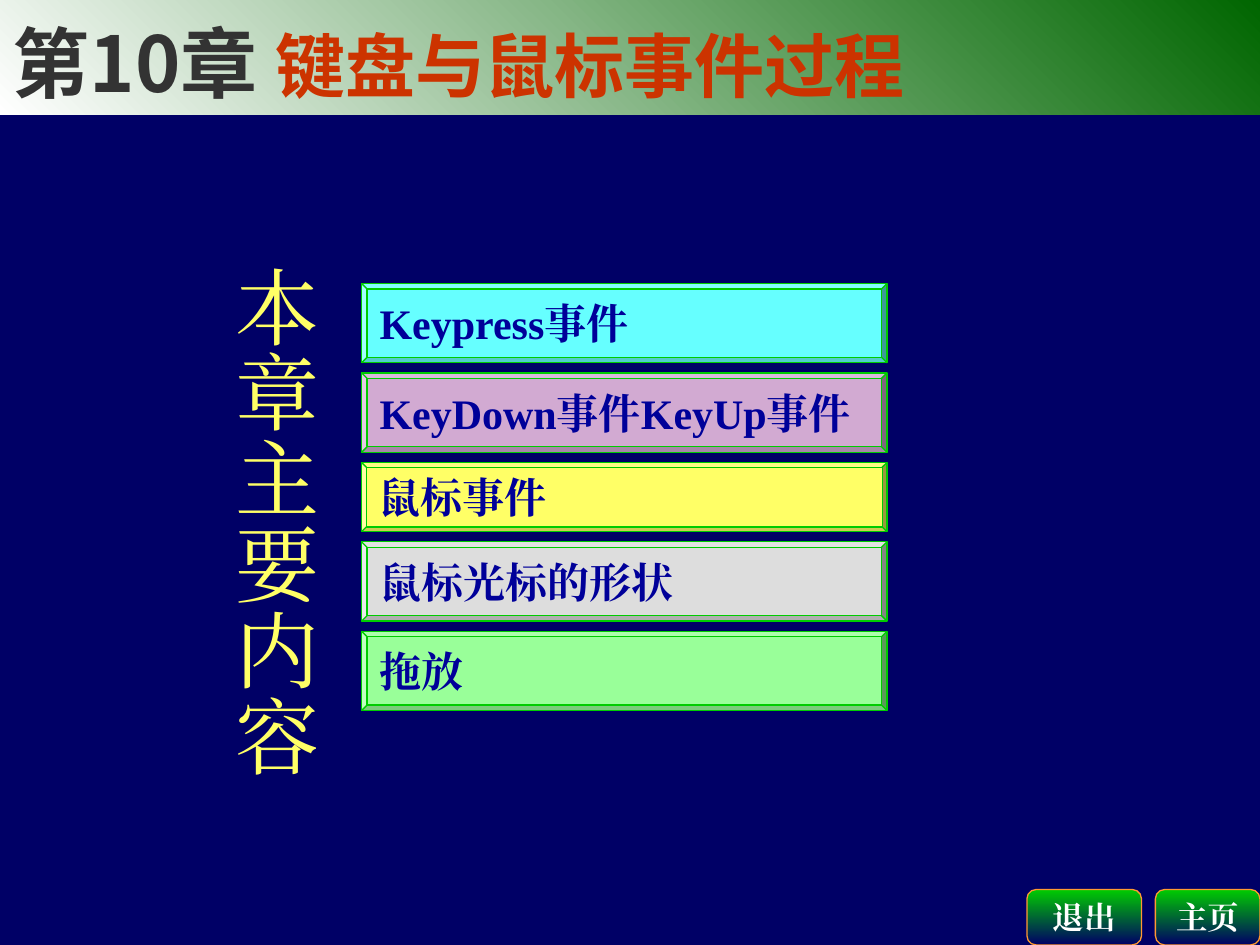
from dataclasses import dataclass

from lxml import etree
from pptx import Presentation
from pptx.dml.color import RGBColor
from pptx.enum.shapes import MSO_SHAPE
from pptx.enum.text import MSO_ANCHOR, MSO_AUTO_SIZE, PP_ALIGN
from pptx.oxml.ns import qn
from pptx.util import Inches, Pt


@dataclass(frozen=True)
class Theme:
    background: str = "000066"
    white: str = "FFFFFF"
    banner_end: str = "006600"
    chapter: str = "333333"
    chapter_name: str = "CC3300"
    heading: str = "FFFF66"
    topic: str = "000099"
    bevel_line: str = "00CC00"
    button_top: str = "00CC00"
    button_line: str = "FF9933"
    body_font: str = "Times New Roman"
    chapter_font: str = "Noto Sans CJK JP"
    name_font: str = "Noto Sans CJK SC"
    chapter_size: int = 44
    name_size: int = 40
    heading_size: int = 48
    topic_size: int = 24
    button_size: int = 18


THEME = Theme()

# Text, colour, height in inches
TOPICS = [
    ("Keypress事件", "66FFFF", 0.63),
    ("KeyDown事件KeyUp事件", "D2AAD2", 0.63),
    ("鼠标事件", "FFFF66", 0.55),
    ("鼠标光标的形状", "DDDDDD", 0.63),
    ("拖放", "99FF99", 0.63),
]
TOPIC_GAP = 0.08


def rgb(value):
    return RGBColor.from_string(value)


def style_font(font, size, color, name, bold=True):
    """Set the look of a font, for Latin and East Asian letters alike."""
    font.size = Pt(size)
    font.bold = bold
    font.color.rgb = rgb(color)
    font.name = name
    latin = font._element.find(qn("a:latin"))
    east_asian = etree.Element(qn("a:ea"), typeface=name)
    latin.addnext(east_asian)


def fill_gradient(shape, start, end, angle):
    """Fill with two colours; the angle runs counter-clockwise."""
    shape.fill.gradient()
    shape.fill.gradient_angle = angle
    for stop, color in zip(shape.fill.gradient_stops, (start, end)):
        stop.color.rgb = rgb(color)


def add_label_shape(slide, kind, box, text, size, color, line, align):
    shape = slide.shapes.add_shape(kind, *map(Inches, box))
    shape.shadow.inherit = False
    shape.line.color.rgb = rgb(line)
    shape.line.width = Pt(0.75)
    frame = shape.text_frame
    frame.word_wrap = False
    frame.vertical_anchor = MSO_ANCHOR.MIDDLE
    label = frame.paragraphs[0]
    label.text = text
    label.alignment = align
    style_font(label.runs[0].font, size, color, THEME.body_font)
    return shape


def place_title(slide, box):
    title = slide.shapes.title
    title.left, title.top, title.width, title.height = map(Inches, box)
    fill_gradient(title, THEME.white, THEME.banner_end, 45)
    frame = title.text_frame
    frame.auto_size = MSO_AUTO_SIZE.NONE
    frame.vertical_anchor = MSO_ANCHOR.BOTTOM
    heading = frame.paragraphs[0]
    heading.alignment = PP_ALIGN.LEFT
    for text, size, color, font_name in (
        ("第10章 ", THEME.chapter_size, THEME.chapter, THEME.chapter_font),
        ("键盘与鼠标事件过程", THEME.name_size, THEME.chapter_name, THEME.name_font),
    ):
        run = heading.add_run()
        run.text = text
        style_font(run.font, size, color, font_name)


def add_side_heading(slide, box, text):
    """Stack the heading one character to a line."""
    frame = slide.shapes.add_textbox(*map(Inches, box)).text_frame
    frame.word_wrap = True
    for index, character in enumerate(text):
        line = frame.add_paragraph() if index else frame.paragraphs[0]
        line.text = character
        line.line_spacing = 0.8
        if index:
            line.space_before = Pt(3)
        style_font(line.runs[0].font, THEME.heading_size, THEME.heading,
                   THEME.body_font, bold=False)


def add_topics(slide, left, top, width):
    for text, color, height in TOPICS:
        bar = add_label_shape(slide, MSO_SHAPE.BEVEL, (left, top, width, height), text,
                              THEME.topic_size, THEME.topic, THEME.bevel_line,
                              PP_ALIGN.LEFT)
        bar.adjustments[0] = 0.07
        bar.fill.solid()
        bar.fill.fore_color.rgb = rgb(color)
        top += height + TOPIC_GAP


def add_button(slide, box, text):
    button = add_label_shape(slide, MSO_SHAPE.ROUNDED_RECTANGLE, box, text,
                             THEME.button_size, THEME.white, THEME.button_line,
                             PP_ALIGN.CENTER)
    fill_gradient(button, THEME.button_top, THEME.background, 270)


def main():
    deck = Presentation()
    deck.slide_width, deck.slide_height = Inches(10), Inches(7.5)
    slide = deck.slides.add_slide(deck.slide_layouts[5])
    slide.background.fill.solid()
    slide.background.fill.fore_color.rgb = rgb(THEME.background)
    place_title(slide, (0, 0, 10, 0.91))
    add_topics(slide, 2.87, 2.25, 4.17)
    add_side_heading(slide, (1.77, 2.13, 0.95, 4.15), "本章主要内容")
    add_button(slide, (8.15, 7.06, 0.91, 0.44), "退出")
    add_button(slide, (9.17, 7.06, 0.83, 0.44), "主页")
    deck.save("out.pptx")


if __name__ == "__main__":
    main()
